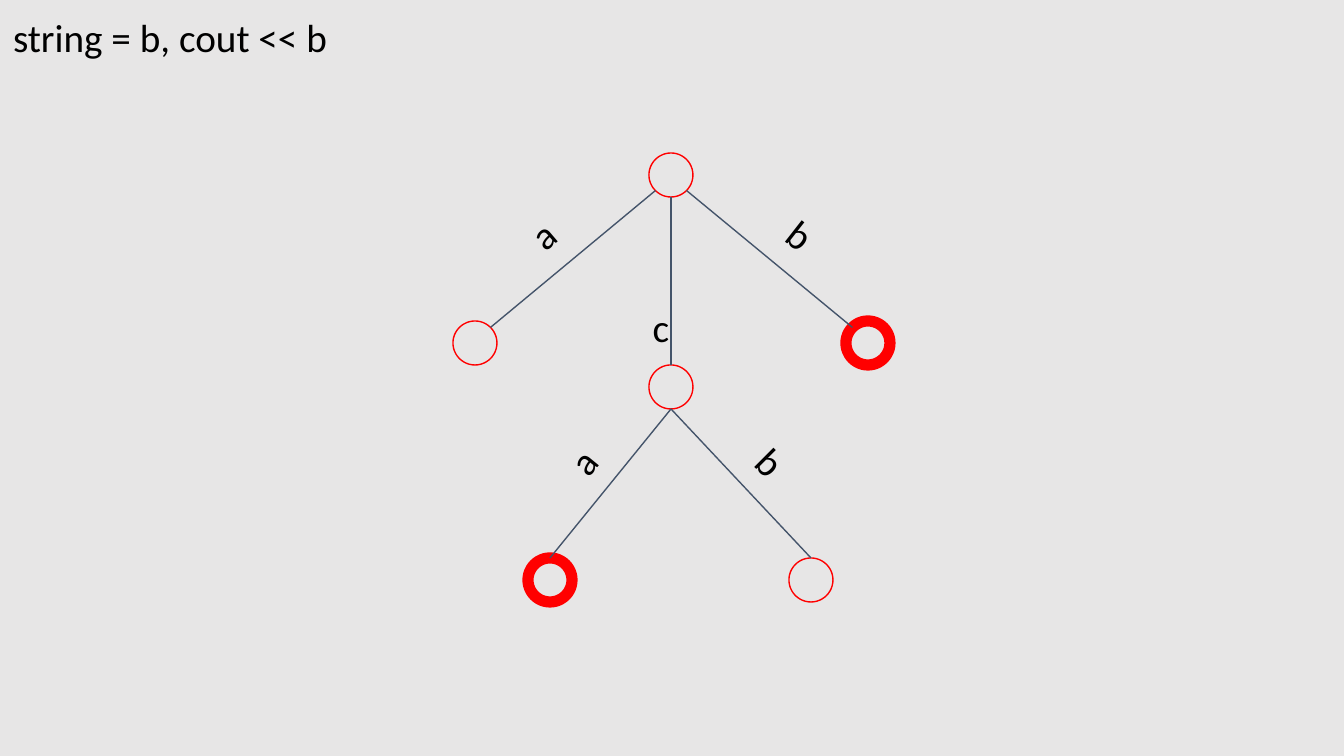
from dataclasses import dataclass
from math import sqrt

from lxml.etree import SubElement
from pptx import Presentation
from pptx.dml.color import RGBColor
from pptx.enum.shapes import MSO_CONNECTOR, MSO_SHAPE
from pptx.enum.text import MSO_AUTO_SIZE, PP_ALIGN
from pptx.oxml.ns import qn
from pptx.util import Emu, Pt


@dataclass(frozen=True)
class Theme:
    back: RGBColor = RGBColor.from_string("E7E6E6")
    ring: RGBColor = RGBColor.from_string("FF0000")
    edge: RGBColor = RGBColor.from_string("44546A")
    ink: RGBColor = RGBColor.from_string("000000")
    font: str = "Calibri"
    size: float = 21
    thin: float = 0.75
    thick: float = 6


THEME = Theme()
WIDTH, HEIGHT = 1344, 756
RADIUS = 22
INSET = 13
LABEL_W, LABEL_H = 118, 75
TITLE = "string = b, cout << b"

NODES = {
    "root": (671, 175, False),
    "a": (475, 343, False),
    "ca": (550, 580, True),
    "c": (671, 387, False),
    "b": (868, 343, True),
    "cb": (811, 580, False),
}
D = 1 / sqrt(2)
TOP, BOTTOM = (0, -1), (0, 1)
TOP_LEFT, TOP_RIGHT = (-D, -D), (D, -D)
BOTTOM_LEFT, BOTTOM_RIGHT = (-D, D), (D, D)
EDGES = [
    ("root", BOTTOM_RIGHT, "b", TOP_LEFT),
    ("root", BOTTOM_LEFT, "a", TOP_RIGHT),
    ("root", BOTTOM, "c", TOP),
    ("c", BOTTOM, "ca", TOP),
    ("c", BOTTOM, "cb", TOP),
]
LABELS = [
    ("a", 543, 235, 319.4),
    ("b", 800, 235, 38),
    ("c", 661, 328, 0),
    ("b", 770, 462, 45),
    ("a", 583, 462, 309.2),
]


def px(n):
    return Emu(round(n * 914400 / 134.4))


def add_text(s, text, x, y, w, h, align=PP_ALIGN.LEFT, rotation=0):
    sp = s.shapes.add_textbox(px(x), px(y), px(w), px(h))
    sp.rotation = rotation
    tf = sp.text_frame
    tf.word_wrap = True
    tf.auto_size = MSO_AUTO_SIZE.SHAPE_TO_FIT_TEXT
    tf.margin_left = tf.margin_right = tf.margin_top = tf.margin_bottom = px(INSET)
    p = tf.paragraphs[0]
    p.alignment = align
    r = p.add_run()
    r.text = text
    r.font.name = THEME.font
    r.font.size = Pt(THEME.size)
    r.font.color.rgb = THEME.ink


def add_node(s, x, y, final):
    sp = s.shapes.add_shape(
        MSO_SHAPE.OVAL, px(x - RADIUS), px(y - RADIUS), px(2 * RADIUS), px(2 * RADIUS)
    )
    sp.shadow.inherit = False
    sp.fill.solid()
    sp.fill.fore_color.rgb = THEME.back
    sp.line.color.rgb = THEME.ring
    sp.line.width = Pt(THEME.thick if final else THEME.thin)


def rim(name, side):
    x, y, _ = NODES[name]
    return px(x + RADIUS * side[0]), px(y + RADIUS * side[1])


def add_edge(s, parent, start, child, end):
    sp = s.shapes.add_connector(
        MSO_CONNECTOR.STRAIGHT, *rim(parent, start), *rim(child, end)
    )
    sp.line.color.rgb = THEME.edge
    sp.line.width = Pt(THEME.thin)
    SubElement(sp._element.spPr, qn("a:effectLst"))


def main():
    prs = Presentation()
    prs.slide_width, prs.slide_height = px(WIDTH), px(HEIGHT)
    s = prs.slides.add_slide(prs.slide_layouts[6])
    s.background.fill.solid()
    s.background.fill.fore_color.rgb = THEME.back
    for node in NODES.values():
        add_node(s, *node)
    for edge in EDGES:
        add_edge(s, *edge)
    for text, x, y, rotation in LABELS:
        add_text(s, text, x - LABEL_W / 2, y - LABEL_H / 2, LABEL_W, LABEL_H,
                 align=PP_ALIGN.CENTER, rotation=rotation)
    add_text(s, TITLE, 0, 0, 974, LABEL_H)
    prs.save("out.pptx")


if __name__ == "__main__":
    main()
